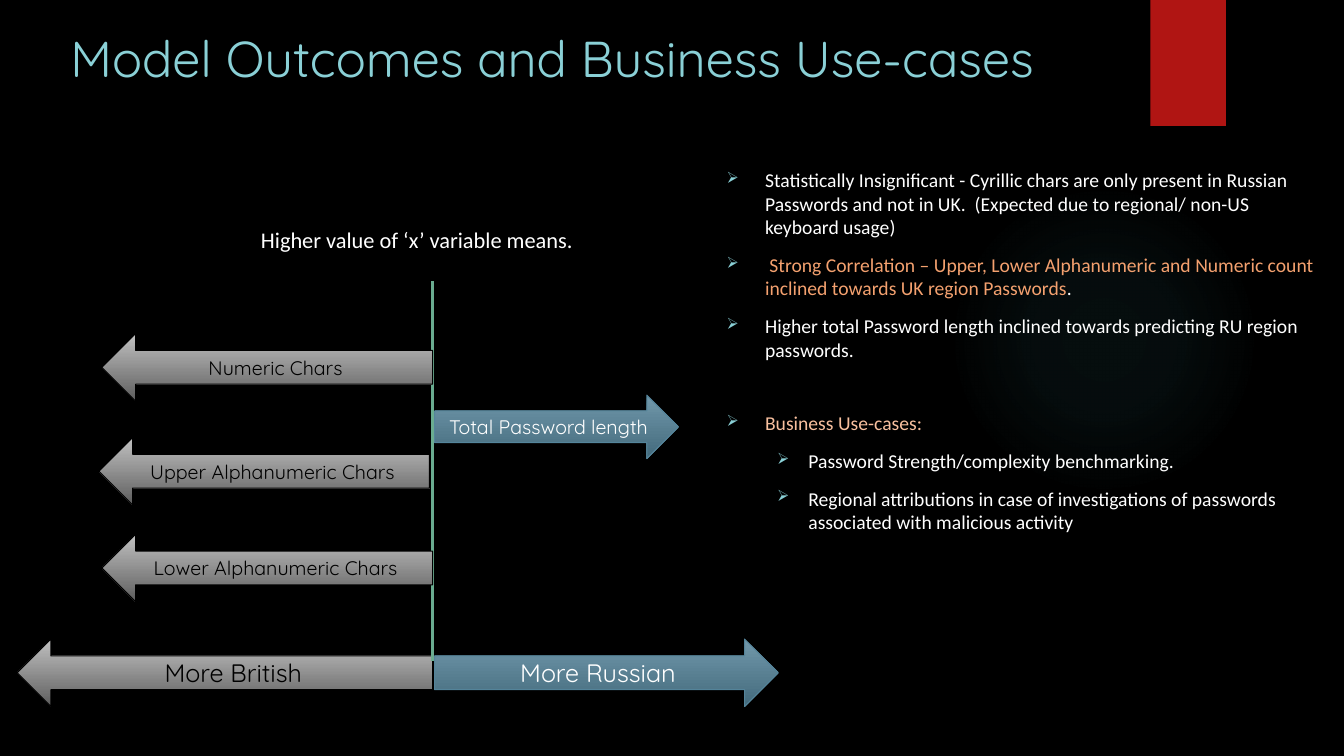
from lxml.etree import SubElement
from pptx import Presentation
from pptx.dml.color import RGBColor
from pptx.enum.shapes import MSO_CONNECTOR, MSO_SHAPE
from pptx.enum.text import MSO_ANCHOR, PP_ALIGN
from pptx.oxml import parse_xml
from pptx.oxml.ns import nsdecls, qn
from pptx.util import Inches, Pt

BLACK = RGBColor(0x00, 0x00, 0x00)
WHITE = RGBColor(0xFF, 0xFF, 0xFF)
RED = RGBColor(0xB0, 0x15, 0x13)
AQUA = RGBColor(0x8A, 0xD0, 0xD6)
GLOW = RGBColor(0x50, 0xB9, 0xC1)
GREEN = RGBColor(0x6A, 0xAC, 0x90)
ORANGE = RGBColor(0xF4, 0xA1, 0x6F)
PEACH = RGBColor(0xF8, 0xC0, 0x9F)
LIGHT_GRAY = RGBColor(0xC1, 0xC1, 0xC1)
DARK_GRAY = RGBColor(0x5E, 0x5E, 0x5E)
LIGHT_BLUE = RGBColor(0x71, 0x98, 0xAB)
DARK_BLUE = RGBColor(0x43, 0x6A, 0x7C)
EDGE_BLUE = RGBColor(0x54, 0x84, 0x9A)

BRITISH = {"kind": MSO_SHAPE.LEFT_ARROW, "stops": (LIGHT_GRAY, DARK_GRAY),
           "edge": BLACK, "text": BLACK}
RUSSIAN = {"kind": MSO_SHAPE.RIGHT_ARROW, "stops": (LIGHT_BLUE, DARK_BLUE),
           "edge": EDGE_BLUE, "text": WHITE}

OUTCOMES = [
    (0, 10, [("Statistically Insignificant - Cyrillic chars are only present in Russian "
              "Passwords and not in UK.  (Expected due to regional/ non-US keyboard usage)", WHITE)]),
    (0, 10, [(" Strong Correlation – Upper, Lower Alphanumeric and Numeric count "
              "inclined towards UK region Passwords", ORANGE), (".", WHITE)]),
    (0, 10, [("Higher total Password length inclined towards predicting RU region passwords.", WHITE)]),
    (0, 36, [("Business Use-cases:", PEACH)]),
    (1, 10, [("Password Strength/complexity benchmarking.", WHITE)]),
    (1, 10, [("Regional attributions in case of investigations of passwords "
              "associated with malicious activity", WHITE)]),
]
INDENTS = [(0.38, -0.38), (0.81, -0.31)]


def inches(*lengths):
    return [Inches(length) for length in lengths]


def add_run(paragraph, text, size, font_name, color):
    run = paragraph.add_run()
    run.text = text
    for name, value in {"size": Pt(size), "name": font_name}.items():
        setattr(run.font, name, value)
    run.font.color.rgb = color


def add_text_box(slide, box):
    frame = slide.shapes.add_textbox(*inches(*box)).text_frame
    frame.word_wrap = True
    return frame


def add_plain_shape(slide, kind, box):
    shape = slide.shapes.add_shape(kind, *inches(*box))
    shape.shadow.inherit = False
    shape.line.fill.background()
    return shape


def add_backdrop(slide):
    slide.background.fill.solid()
    slide.background.fill.fore_color.rgb = BLACK

    glow = add_plain_shape(slide, MSO_SHAPE.OVAL, (9.41, 1.83, 3.08, 3.08))
    stops = "".join(
        f'<a:gs pos="{position * 1000}"><a:srgbClr val="{GLOW}">'
        f'<a:alpha val="{alpha * 1000}"/></a:srgbClr></a:gs>'
        for position, alpha in ((0, 7), (36, 6), (69, 0)))
    gradient = parse_xml(
        f'<a:gradFill {nsdecls("a")}><a:gsLst>{stops}</a:gsLst><a:path path="circle">'
        '<a:fillToRect l="50000" t="50000" r="50000" b="50000"/></a:path></a:gradFill>')
    glow.element.spPr.find(qn("a:prstGeom")).addnext(gradient)

    ribbon = add_plain_shape(slide, MSO_SHAPE.RECTANGLE, (11.41, 0, 0.75, 1.25))
    ribbon.fill.solid()
    ribbon.fill.fore_color.rgb = RED


def add_title(slide, box):
    frame = add_text_box(slide, box)
    add_run(frame.paragraphs[0], "Model Outcomes and Business Use-cases", 36, "Quicksand", AQUA)


def add_bullet(paragraph, level):
    margin, indent = INDENTS[level]
    properties = paragraph._p.get_or_add_pPr()
    properties.set("marL", str(Inches(margin)))
    properties.set("indent", str(Inches(indent)))
    color = SubElement(properties, qn("a:buClr"))
    SubElement(color, qn("a:srgbClr"), val=str(AQUA))
    SubElement(properties, qn("a:buSzPct"), val="80000")
    SubElement(properties, qn("a:buChar"), char="➢")


def add_outcomes(slide, box):
    frame = add_text_box(slide, box)
    for index, (level, space, runs) in enumerate(OUTCOMES):
        paragraph = frame.add_paragraph() if index else frame.paragraphs[0]
        for name, value in {"level": level, "space_before": Pt(space)}.items():
            setattr(paragraph, name, value)
        add_bullet(paragraph, level)
        for text, color in runs:
            add_run(paragraph, text, 14, "Calibri", color)


def add_arrow(slide, box, label, size, style):
    arrow = add_plain_shape(slide, style["kind"], box)
    arrow.fill.gradient()
    arrow.fill.gradient_angle = 270
    for stop, color, position in zip(arrow.fill.gradient_stops, style["stops"], (0, 1)):
        stop.color.rgb = color
        stop.position = position
    arrow.line.color.rgb = style["edge"]
    arrow.line.width = Pt(0.75)
    frame = arrow.text_frame
    for name, value in {"word_wrap": True, "vertical_anchor": MSO_ANCHOR.MIDDLE}.items():
        setattr(frame, name, value)
    frame.paragraphs[0].alignment = PP_ALIGN.CENTER
    add_run(frame.paragraphs[0], label, size, "Quicksand", style["text"])


def add_direction_diagram(slide, box):
    left, top, width, height = box
    axis = left + 4.12
    base = top + height - 0.67
    add_arrow(slide, (left, base, 4.12, 0.67), "More British", 18, BRITISH)
    add_arrow(slide, (axis + 0.02, base, width - 4.14, 0.67), "More Russian", 18, RUSSIAN)

    line = slide.shapes.add_connector(
        MSO_CONNECTOR.STRAIGHT, *inches(axis, base + 0.22, axis, top + 0.6))
    line.line.color.rgb = GREEN
    line.line.width = Pt(2.25)
    SubElement(line.element.spPr, qn("a:effectLst"))

    for offset, shift, label in ((3.11, 0, "Lower Alphanumeric Chars"),
                                 (2.15, 0.03, "Upper Alphanumeric Chars"),
                                 (1.12, 0, "Numeric Chars")):
        add_arrow(slide, (axis - 3.28 - shift, top + offset, 3.28, 0.67), label, 14, BRITISH)
    add_arrow(slide, (axis + 0.02, top + 1.73, 2.42, 0.63), "Total Password length", 14, RUSSIAN)

    caption = add_text_box(slide, (left + 2.32, top, 3.41, 0.46))
    add_run(caption.paragraphs[0], "Higher value of ‘x’ variable means.", 16, "Calibri", WHITE)


def main():
    presentation = Presentation()
    presentation.slide_width = Inches(13.33)
    presentation.slide_height = Inches(7.5)
    slide = presentation.slides.add_slide(presentation.slide_layouts[6])
    add_backdrop(slide)
    add_title(slide, (0.6, 0.22, 10.29, 0.99))
    add_outcomes(slide, (7.11, 1.62, 6.07, 4.44))
    add_direction_diagram(slide, (0.17, 2.19, 7.55, 4.82))
    presentation.save("out.pptx")


if __name__ == "__main__":
    main()
